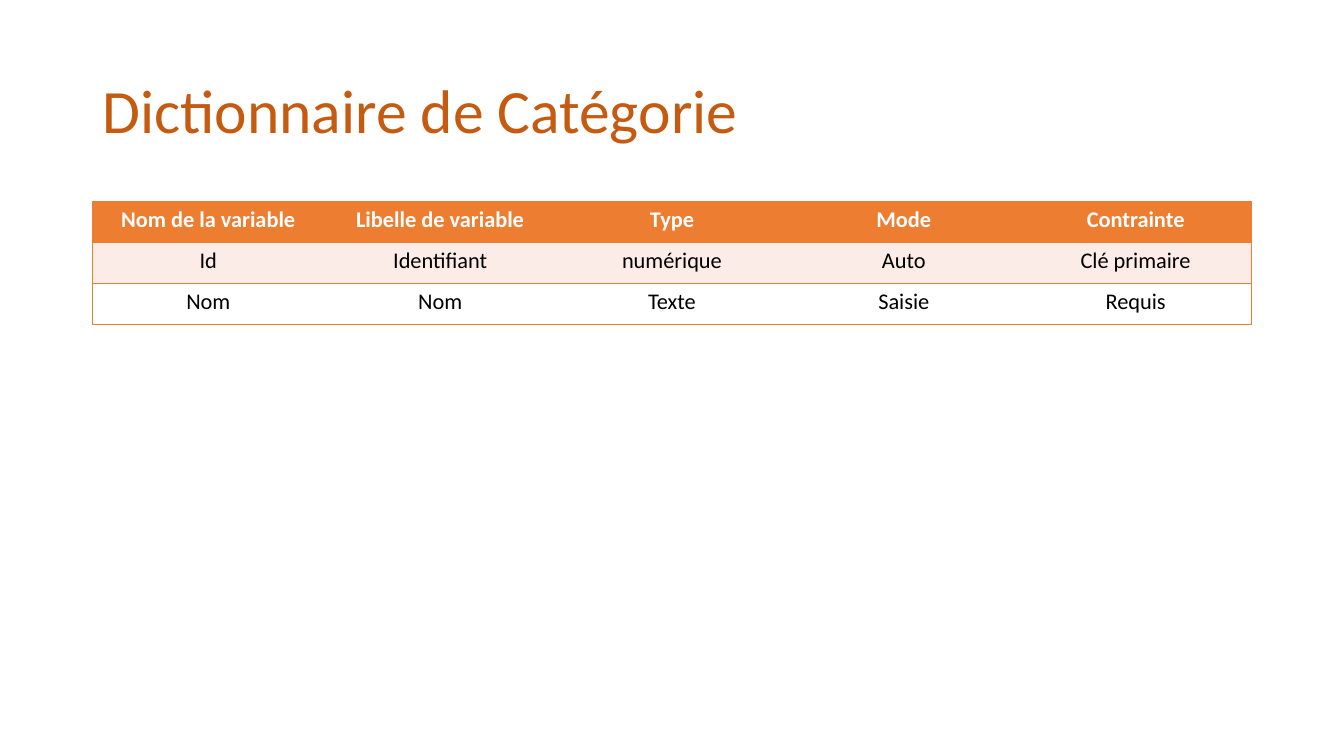
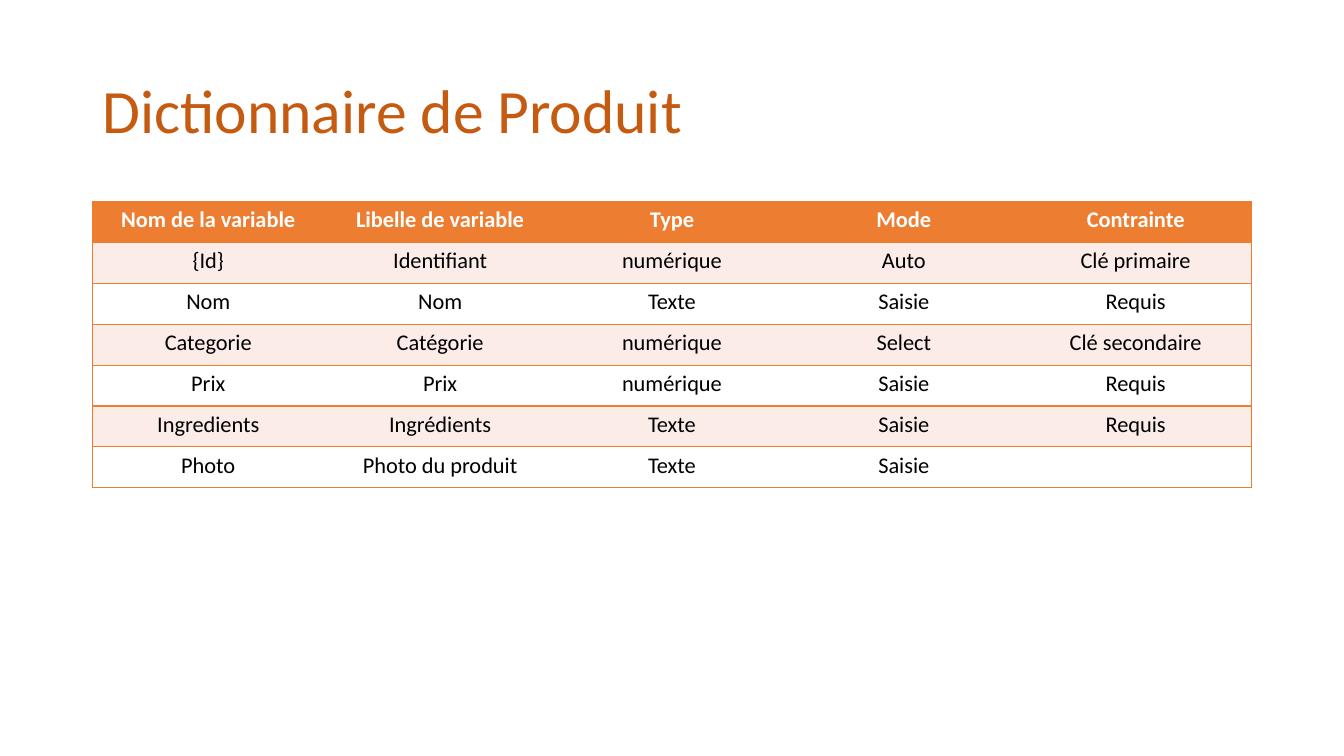
from lxml import etree
from pptx import Presentation
from pptx.dml.color import RGBColor
from pptx.enum import text
from pptx.oxml import ns
from pptx.util import Pt

COLORS = {
    "title": "C55A11",
    "accent": "ED7D31",
    "band": "FCECE8",
    "white": "FFFFFF",
    "black": "000000",
}
FONT = "Calibri"
LEFT, WIDTH = 66, 828
TITLE_TOP, TITLE_HEIGHT = 28.75, 104.4
TABLE_TOP, ROW_HEIGHT = 144, 29.2

HEADER = ["Nom de la variable", "Libelle de variable", "Type", "Mode", "Contrainte"]
DICTIONARIES = {
    "Dictionnaire de Catégorie": [
        ["Id", "Identifiant", "numérique", "Auto", "Clé primaire"],
        ["Nom", "Nom", "Texte", "Saisie", "Requis"],
    ],
    "Dictionnaire de Produit": [
        ["{Id}", "Identifiant", "numérique", "Auto", "Clé primaire"],
        ["Nom", "Nom", "Texte", "Saisie", "Requis"],
        ["Categorie", "Catégorie", "numérique", "Select", "Clé secondaire"],
        ["Prix", "Prix", "numérique", "Saisie", "Requis"],
        ["Ingredients", "Ingrédients", "Texte", "Saisie", "Requis"],
        ["Photo", "Photo du produit", "Texte", "Saisie", ""],
    ],
}


def rgb(name):
    return RGBColor.from_string(COLORS[name])


def write(tf, content, size=16, color="black", bold=False,
          align=text.PP_ALIGN.CENTER, spacing=None):
    p = tf.paragraphs[0]
    p.alignment = align
    p.line_spacing = spacing
    p.font.size = Pt(size)
    if content:
        r = p.add_run()
        r.text = content
        r.font.name = FONT
        r.font.size = Pt(size)
        r.font.bold = bold
        r.font.color.rgb = rgb(color)


def add_title(s, content):
    sp = s.shapes.title
    sp.left, sp.top = Pt(LEFT), Pt(TITLE_TOP)
    sp.width, sp.height = Pt(WIDTH), Pt(TITLE_HEIGHT)
    tf = sp.text_frame
    tf.word_wrap = True
    tf.auto_size = text.MSO_AUTO_SIZE.NONE
    tf.vertical_anchor = text.MSO_ANCHOR.MIDDLE
    write(tf, content, size=44, color="title", align=text.PP_ALIGN.LEFT, spacing=0.9)


def set_borders(cell, sides):
    """Draw the given sides in the accent colour and clear the others."""
    tc_pr = cell._tc.get_or_add_tcPr()
    for side in "LRTB":
        ln = etree.SubElement(tc_pr, ns.qn(f"a:ln{side}"), w=str(Pt(1)))
        if side in sides:
            fill = etree.SubElement(ln, ns.qn("a:solidFill"))
            etree.SubElement(fill, ns.qn("a:srgbClr"), val=COLORS["accent"])
        else:
            etree.SubElement(ln, ns.qn("a:noFill"))


def add_dictionary(s, rows):
    rows = [HEADER] + rows
    last = len(HEADER) - 1
    frame = s.shapes.add_table(len(rows), len(HEADER), Pt(LEFT), Pt(TABLE_TOP),
                               Pt(WIDTH), Pt(ROW_HEIGHT * len(rows)))
    table = frame.table
    table.horz_banding = False
    for i, values in enumerate(rows):
        table.rows[i].height = Pt(ROW_HEIGHT)
        head = i == 0
        background = "accent" if head else ("band" if i % 2 else "white")
        for j, value in enumerate(values):
            cell = table.cell(i, j)
            # Borders precede the fill in the cell properties
            set_borders(cell, "TB" + ("L" if j == 0 else "") + ("R" if j == last else ""))
            cell.fill.solid()
            cell.fill.fore_color.rgb = rgb(background)
            write(cell.text_frame, value, color="white" if head else "black", bold=head)


def main():
    prs = Presentation()
    prs.slide_width, prs.slide_height = Pt(960), Pt(540)
    for title, rows in DICTIONARIES.items():
        s = prs.slides.add_slide(prs.slide_layouts[5])
        add_title(s, title)
        add_dictionary(s, rows)
    prs.save("out.pptx")


if __name__ == "__main__":
    main()
